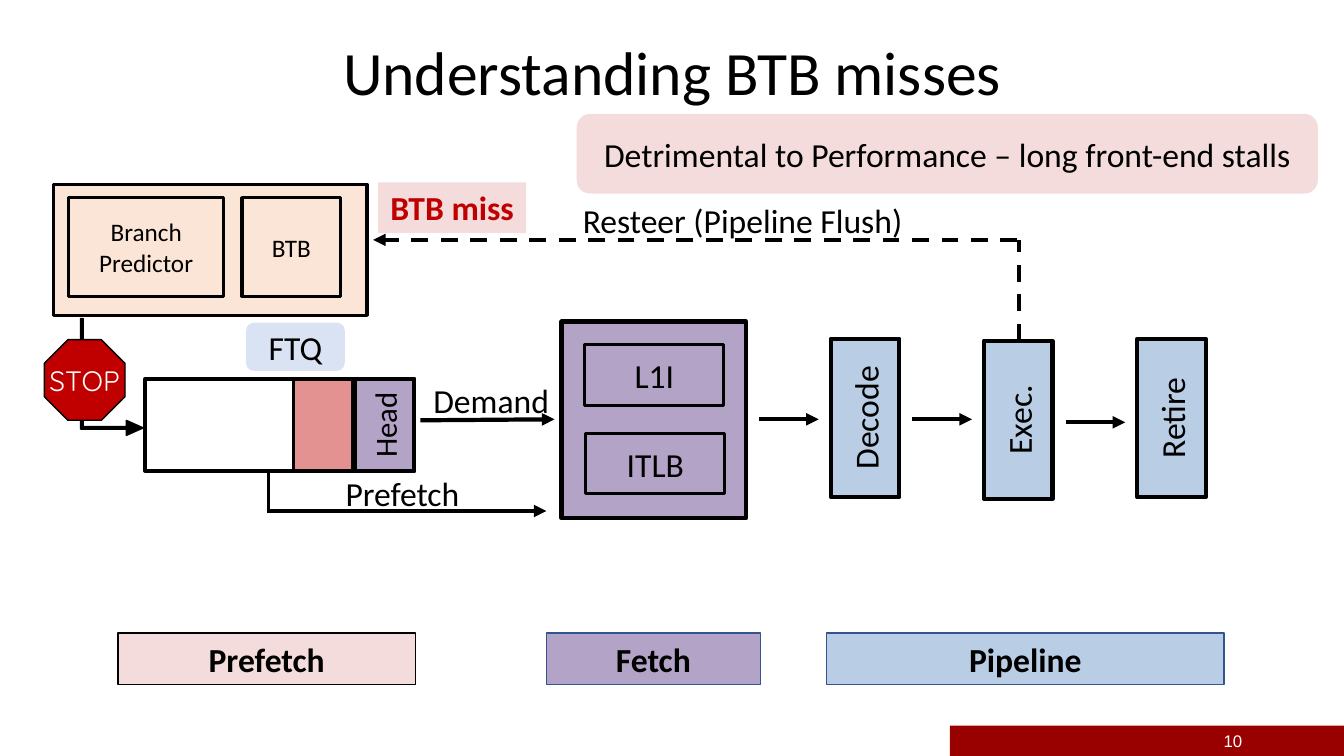
from lxml import etree
from pptx import Presentation
from pptx.dml.color import RGBColor
from pptx.enum.dml import MSO_LINE_DASH_STYLE as Dash
from pptx.enum.shapes import MSO_CONNECTOR as Connector, MSO_SHAPE as Shape
from pptx.enum.text import MSO_ANCHOR as Anchor, PP_ALIGN as Align
from pptx.oxml.ns import qn
from pptx.util import Pt

PX = 9144  # 100 px to the inch
BLACK = RGBColor(0x00, 0x00, 0x00)
WHITE = RGBColor(0xFF, 0xFF, 0xFF)
RED = RGBColor(0xC0, 0x00, 0x00)
MAROON = RGBColor(0x99, 0x00, 0x00)
PINK = RGBColor(0xF3, 0xDC, 0xDB)
ROSE = RGBColor(0xE4, 0x92, 0x91)
PURPLE = RGBColor(0xB3, 0xA3, 0xC7)
BLUE = RGBColor(0xB9, 0xCD, 0xE5)
PALE_BLUE = RGBColor(0xDA, 0xE3, 0xF3)
NAVY = RGBColor(0x32, 0x54, 0x91)
PEACH = RGBColor(0xFB, 0xE5, 0xD6)


def write(shape, text, size=24, color=BLACK, bold=False, font="Calibri",
          align=Align.CENTER, anchor=Anchor.MIDDLE):
    frame = shape.text_frame
    frame.word_wrap = True
    frame.vertical_anchor = anchor
    para = frame.paragraphs[0]
    para.text = text
    para.alignment = align
    para.font.name = font
    para.font.size = Pt(size)
    para.font.bold = bold
    para.font.color.rgb = color


def block(page, box, text="", fill=None, line=BLACK, weight=3.0,
          kind=Shape.RECTANGLE, turn=0, **style):
    """Draw a shape that covers box as seen, even when turned a quarter."""
    left, top, width, height = box
    if turn:
        left, top = left + (width - height) / 2, top + (height - width) / 2
        width, height = height, width
    shape = page.shapes.add_shape(
        kind, *(round(v * PX) for v in (left, top, width, height)))
    shape.rotation = turn
    shape.shadow.inherit = False
    if fill is None:
        shape.fill.background()
    else:
        shape.fill.solid()
        shape.fill.fore_color.rgb = fill
    if line is None:
        shape.line.fill.background()
    else:
        shape.line.color.rgb = line
        shape.line.width = Pt(weight)
    if text:
        write(shape, text, **style)
    return shape


def label(page, box, text, **style):
    area = page.shapes.add_textbox(*(v * PX for v in box))
    write(area, text, **{"anchor": Anchor.TOP, **style})


def wire(page, start, end, weight=3.0, arrow=True, dashed=False):
    link = page.shapes.add_connector(
        Connector.STRAIGHT, *(v * PX for v in (*start, *end)))
    link.line.color.rgb = BLACK
    link.line.width = Pt(weight)
    if dashed:
        link.line.dash_style = Dash.DASH
    if arrow:
        etree.SubElement(link.line._get_or_add_ln(), qn("a:tailEnd"), type="triangle")
    etree.SubElement(link._element.spPr, qn("a:effectLst"))
    return link


def add_title(page, box, text):
    title = page.shapes.title
    title.left, title.top, title.width, title.height = (v * PX for v in box)
    write(title, text, size=44)
    title.text_frame.paragraphs[0].line_spacing = 0.9


def add_footer(page, box, number):
    left, top, _, _ = box
    block(page, box, fill=MAROON, line=None)
    label(page, (left, top - 5, 300, 40), number, size=12, color=WHITE,
          font="Arial", align=Align.RIGHT, anchor=Anchor.MIDDLE)


def add_fetch_unit(page, box):
    left, top, _, _ = box
    block(page, box, fill=PURPLE)
    for dx, dy, name in ((23, 23, "L1I"), (24, 111, "ITLB")):
        block(page, (left + dx, top + dy, 138, 60), name, weight=2.25)


def add_pipeline(page, box):
    """Draw the stages with an arrow before each; return them by name."""
    left, top, _, height = box
    stages = {}
    for index, (name, drop, arrow_drop) in enumerate(
            (("Decode", 0, 0), ("Exec.", 2, 0), ("Retire", 0, 3))):
        x = left + 152 * index
        y = top + 80 + arrow_drop
        stages[name] = block(page, (x + 71, top + drop, 68, height), name,
                             fill=BLUE, turn=270)
        wire(page, (x, y), (x + 59, y))
    return stages


def add_phase_bar(page, top):
    for left, width, name, fill, line in ((117, 295, "Prefetch", PINK, BLACK),
                                          (542, 212, "Fetch", PURPLE, NAVY),
                                          (820, 394, "Pipeline", BLUE, NAVY)):
        block(page, (left, top, width, 51), name, fill=fill, line=line,
              weight=1, bold=True)


def add_target_queue(page, box):
    left, top, _, height = box
    block(page, box)
    block(page, (left + 208, top, 59, height), "Head", fill=PURPLE,
          turn=270, size=22)
    block(page, (left + 147, top, 59, height), fill=ROSE, weight=2.25, turn=270)
    block(page, (left + 100, top - 56, 98, 48), "FTQ", fill=PALE_BLUE,
          line=None, kind=Shape.ROUNDED_RECTANGLE)
    wire(page, (left + 273, top + 41), (left + 406, top + 40))
    label(page, (left + 276, top - 4, 147, 50), "Demand", align=Align.LEFT)
    wire(page, (left + 122, top + 131), (left + 398, top + 131))
    wire(page, (left + 122, top + 89), (left + 122, top + 133), 2.25, arrow=False)
    label(page, (left + 189, top + 88, 147, 50), "Prefetch", align=Align.LEFT)


def add_predictor(page, box):
    left, top, _, _ = box
    block(page, box, fill=PEACH, weight=2.25)
    for dx, width, name in ((15, 154, "Branch Predictor"), (187, 98, "BTB")):
        block(page, (left + dx, top + 13, width, 98), name, fill=PEACH,
              weight=2.25, size=18)


def add_stop(page, box):
    """Draw the blocked path from the predictor to the queue."""
    left, top, _, _ = box
    elbow = block(page, box, fill=BLACK, weight=1, kind=Shape.BENT_UP_ARROW, turn=90)
    for index, value in enumerate((0.04, 0.12, 0.27)):
        elbow.adjustments[index] = value
    sign = block(page, (left - 36, top + 21, 80, 80), "STOP", fill=RED, weight=1,
                 kind=Shape.OCTAGON, size=20, color=WHITE, font="Quicksand")
    frame = sign.text_frame
    frame.word_wrap = False
    frame.margin_left = frame.margin_right = frame.margin_top = frame.margin_bottom = 0


def add_resteer(page, box, source):
    """Draw the dashed way back from the source stage to the predictor."""
    left, top, width, height = box
    right, bottom = left + width, top + height
    rise = wire(page, (right, bottom), (right, top), arrow=False, dashed=True)
    rise.begin_connect(source, 3)  # the right side of a stage turned 270 faces up
    rise.begin_x, rise.begin_y = right * PX, bottom * PX
    wire(page, (right - 2, top), (left, top), dashed=True)
    label(page, (left + 52, top - 45, 629, 50), "Resteer (Pipeline Flush)")
    block(page, (left + 5, top - 57, 147, 50), "BTB miss", fill=PINK, line=None,
          color=RED, bold=True, anchor=Anchor.TOP)


def add_callout(page, box, text):
    block(page, box, text, fill=PINK, line=None, kind=Shape.ROUNDED_RECTANGLE)


def main():
    deck = Presentation()
    deck.slide_width, deck.slide_height = 1333 * PX, 750 * PX
    page = deck.slides.add_slide(deck.slide_layouts[5])
    add_footer(page, (942, 720, 391, 30), "10")
    add_title(page, (92, 2, 1150, 145), "Understanding BTB misses")
    add_fetch_unit(page, (557, 319, 183, 195))
    stages = add_pipeline(page, (753, 336, 443, 157))
    add_phase_bar(page, 628)
    add_target_queue(page, (144, 376, 267, 91))
    add_resteer(page, (370, 238, 641, 100), stages["Exec."])
    add_callout(page, (572, 113, 735, 79),
                "Detrimental to Performance – long front-end stalls")
    add_predictor(page, (53, 183, 311, 130))
    add_stop(page, (80, 316, 62, 116))
    deck.save("out.pptx")


if __name__ == "__main__":
    main()
